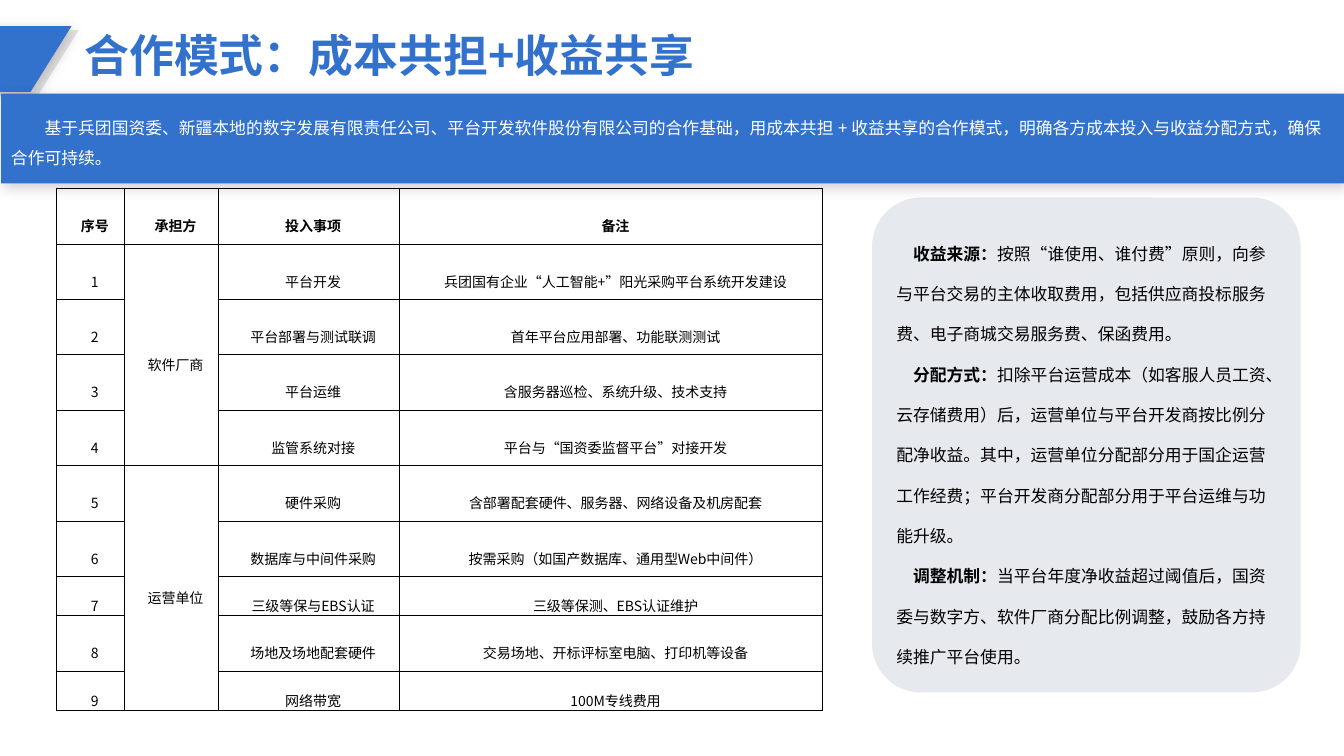
from typing import NamedTuple

from lxml import etree
from pptx import Presentation
from pptx.dml.color import RGBColor
from pptx.enum.shapes import MSO_SHAPE
from pptx.enum.text import MSO_ANCHOR, PP_ALIGN
from pptx.oxml.ns import qn
from pptx.util import Inches, Pt

PARALLELOGRAM = MSO_SHAPE.PARALLELOGRAM
RECTANGLE = MSO_SHAPE.RECTANGLE
ROUNDED = MSO_SHAPE.ROUNDED_RECTANGLE
MIDDLE = MSO_ANCHOR.MIDDLE
LEFT, CENTER = PP_ALIGN.LEFT, PP_ALIGN.CENTER

SLIDE_W, SLIDE_H = Inches(13.33), Inches(7.5)
FONT = "Noto Sans CJK SC"
BLUE, BLACK, WHITE = "3271CC", "000000", "FFFFFF"


class Box(NamedTuple):
    """Position and size in percent of the slide."""
    left: float
    top: float
    width: float
    height: float


class Term(NamedTuple):
    label: str
    body: str


class Bearer(NamedTuple):
    name: str
    items: list[tuple[str, str]]


TITLE = "合作模式：成本共担+收益共享"
INTRO = ("基于兵团国资委、新疆本地的数字发展有限责任公司、平台开发软件股份有限公司的合作基础，"
         "用成本共担 + 收益共享的合作模式，明确各方成本投入与收益分配方式，确保合作可持续。")
HEADERS = ["序号", "承担方", "投入事项", "备注"]
BEARERS = [
    Bearer("软件厂商", [
        ("平台开发", "兵团国有企业“人工智能+”阳光采购平台系统开发建设"),
        ("平台部署与测试联调", "首年平台应用部署、功能联测测试"),
        ("平台运维", "含服务器巡检、系统升级、技术支持"),
        ("监管系统对接", "平台与“国资委监督平台”对接开发"),
    ]),
    Bearer("运营单位", [
        ("硬件采购", "含部署配套硬件、服务器、网络设备及机房配套"),
        ("数据库与中间件采购", "按需采购（如国产数据库、通用型Web中间件）"),
        ("三级等保与EBS认证", "三级等保测、EBS认证维护"),
        ("场地及场地配套硬件", "交易场地、开标评标室电脑、打印机等设备"),
        ("网络带宽", "100M专线费用"),
    ]),
]
TERMS = [
    Term("收益来源：", "按照“谁使用、谁付费”原则，向参与平台交易的主体收取费用，"
         "包括供应商投标服务费、电子商城交易服务费、保函费用。"),
    Term("分配方式：", "扣除平台运营成本（如客服人员工资、云存储费用）后，"
         "运营单位与平台开发商按比例分配净收益。其中，运营单位分配部分用于国企运营工作经费；"
         "平台开发商分配部分用于平台运维与功能升级。"),
    Term("调整机制：", "当平台年度净收益超过阈值后，国资委与数字方、软件厂商分配比例调整，"
         "鼓励各方持续推广平台使用。"),
]

COLUMN_WIDTHS = [5.03, 6.98, 13.5, 31.5]
ROW_HEIGHT, SHORT_ROW_HEIGHT = 7.33, 3.73
SHORT_ROWS = {7, 9}


def across(percent: float) -> int:
    return round(SLIDE_W * percent / 100)


def down(percent: float) -> int:
    return round(SLIDE_H * percent / 100)


def place(box: Box) -> tuple[int, int, int, int]:
    return across(box.left), down(box.top), across(box.width), down(box.height)


def rgb(color: str) -> RGBColor:
    return RGBColor.from_string(color)


def add_color(parent, color: str, alpha: int = 100) -> None:
    clr = etree.SubElement(parent, qn("a:srgbClr"), val=color)
    if alpha < 100:
        etree.SubElement(clr, qn("a:alpha"), val=str(alpha * 1000))


def add_panel(shapes, kind, box: Box, color: str, adj: float | None = None,
              shadow: bool = False):
    s = shapes.add_shape(kind, *place(box))
    s.shadow.inherit = False
    s.fill.solid()
    s.fill.fore_color.rgb = rgb(color)
    s.line.fill.background()
    if adj is not None:
        s.adjustments[0] = adj
    if shadow:
        effects = s._element.spPr.find(qn("a:effectLst"))
        outer = etree.SubElement(effects, qn("a:outerShdw"), blurRad=str(Pt(10)),
                                 dist=str(Pt(3)), dir=str(45 * 60000), rotWithShape="0")
        add_color(outer, BLACK, 20)
    return s


def format_run(r, size: float, color: str, bold: bool = False) -> None:
    r.font.size = Pt(size)
    r.font.bold = bold
    r.font.color.rgb = rgb(color)
    r.font.name = FONT
    etree.SubElement(r._r.get_or_add_rPr(), qn("a:ea"), typeface=FONT)


def format_paragraph(p, size: float, color: str, bold: bool = False, align=LEFT,
                     spacing=None, margin: int = 0, indent: int = 0) -> None:
    pPr = p._p.get_or_add_pPr()
    pPr.set("marL", str(margin))
    pPr.set("indent", str(indent))
    p.alignment = align
    p.line_spacing = spacing
    for r in p.runs:
        format_run(r, size, color, bold)


def add_text(shapes, box: Box, text: str, size: float, color: str, **style) -> None:
    tf = shapes.add_textbox(*place(box)).text_frame
    tf.word_wrap = True
    tf.text = text
    format_paragraph(tf.paragraphs[0], size, color, **style)


def fill_cell(cell, text: str, bold: bool) -> None:
    cell.margin_left = cell.margin_right = Inches(0.07)
    cell.margin_top = cell.margin_bottom = 0
    cell.vertical_anchor = MIDDLE
    tcPr = cell._tc.get_or_add_tcPr()
    for side in ("lnL", "lnR", "lnT", "lnB"):
        ln = etree.SubElement(tcPr, qn(f"a:{side}"), w=str(Pt(0.5)))
        add_color(etree.SubElement(ln, qn("a:solidFill")), BLACK)
    cell.fill.background()
    cell.text_frame.text = text
    format_paragraph(cell.text_frame.paragraphs[0], 10, BLACK, bold, CENTER,
                     Pt(28), margin=Inches(0.09))


def add_cost_table(shapes, left: float, top: float) -> None:
    rows = [HEADERS]
    spans = []
    for bearer in BEARERS:
        spans.append((len(rows), len(rows) + len(bearer.items) - 1))
        for i, (item, remark) in enumerate(bearer.items):
            rows.append([str(len(rows)), "" if i else bearer.name, item, remark])
    heights = [SHORT_ROW_HEIGHT if i in SHORT_ROWS else ROW_HEIGHT for i in range(len(rows))]
    box = Box(left, top, sum(COLUMN_WIDTHS), sum(heights))
    table = shapes.add_table(len(rows), len(HEADERS), *place(box)).table
    table.first_row = table.horz_banding = False
    for column, width in zip(table.columns, COLUMN_WIDTHS):
        column.width = across(width)
    for i, (row, height) in enumerate(zip(rows, heights)):
        table.rows[i].height = down(height)
        for j, text in enumerate(row):
            fill_cell(table.cell(i, j), text, bold=i == 0)
    for first, last in spans:
        table.cell(first, 1).merge(table.cell(last, 1))


def add_terms(shapes, box: Box) -> None:
    s = add_panel(shapes, ROUNDED, box, "ADB9CA", adj=0.114)
    clr = s._element.spPr.find(qn("a:solidFill")).find(qn("a:srgbClr"))
    etree.SubElement(clr, qn("a:alpha"), val="30000")
    tf = s.text_frame
    tf.word_wrap = True
    tf.vertical_anchor = MIDDLE
    for i, term in enumerate(TERMS):
        p = tf.add_paragraph() if i else tf.paragraphs[0]
        p.text = term.label
        format_paragraph(p, 12, BLACK, True, spacing=2.0, indent=Pt(12))
        r = p.add_run()
        r.text = term.body
        format_run(r, 12, BLACK)


def main() -> None:
    prs = Presentation()
    prs.slide_width, prs.slide_height = SLIDE_W, SLIDE_H
    shapes = prs.slides.add_slide(prs.slide_layouts[6]).shapes

    corner = shapes.add_group_shape().shapes
    add_panel(corner, PARALLELOGRAM, Box(-4.5, 4, 10.35, 8.67), "E7E6E6", 0.623)
    add_panel(corner, PARALLELOGRAM, Box(-5.03, 3.47, 10.35, 8.67), BLUE, 0.623, shadow=True)
    add_text(shapes, Box(5.55, 3.07, 85.45, 8.53), TITLE, 32, BLUE, bold=True)

    add_panel(shapes, RECTANGLE, Box(0.08, 12.4, 99.92, 11.87), BLUE, shadow=True)
    add_text(shapes, Box(0.08, 13.6, 99.92, 9.47), INTRO, 12, WHITE,
             spacing=1.5, indent=Pt(24))

    add_cost_table(shapes, 4.2, 24.93)
    add_terms(shapes, Box(64.89, 26.13, 31.88, 65.47))
    prs.save("out.pptx")


if __name__ == "__main__":
    main()
